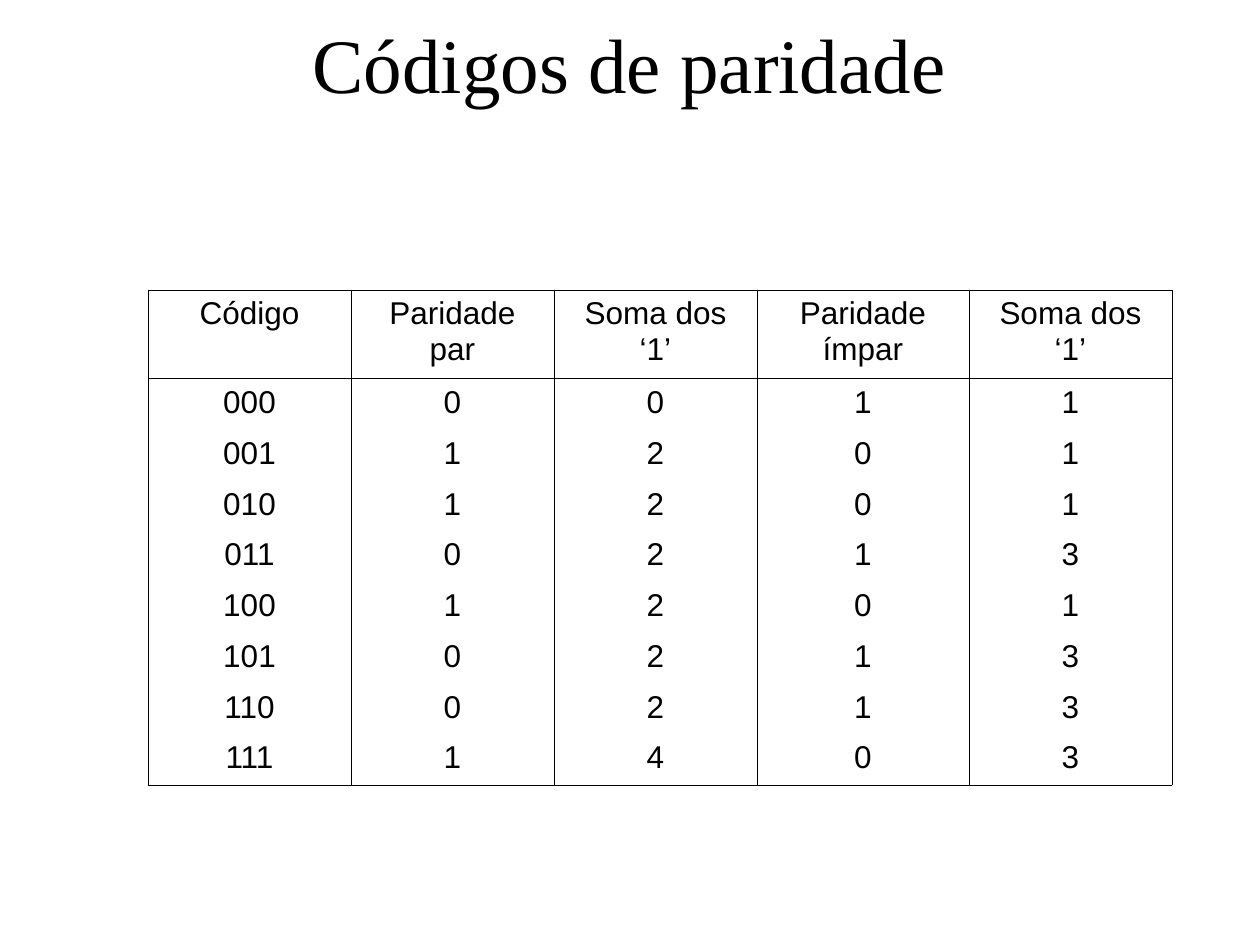
from itertools import product
from dataclasses import dataclass
from lxml.etree import SubElement as Sub
from pptx import Presentation
from pptx.dml.color import RGBColor as Color
from pptx.enum.text import MSO_ANCHOR as Anchor, PP_ALIGN as Align
from pptx.oxml.ns import qn
from pptx.util import Pt


@dataclass
class Theme:
    ink: str = "000000"
    head: str = "Times New Roman"
    body: str = "Arial"
    big: int = 44
    small: int = 18
    rule: float = 0.45


look = Theme()
PX = 914400 // 126


def write(frame, text, font=look.body, size=look.small):
    frame.word_wrap = True
    para = frame.paragraphs[0]
    para.alignment = Align.CENTER
    run = para.add_run()
    run.text = text
    run.font.name = font
    run.font.size = Pt(size)
    run.font.color.rgb = Color.from_string(look.ink)


def border(cell, sides):
    props = cell._tc.get_or_add_tcPr()
    for side in "LRTB":
        line = Sub(props, qn(f"a:ln{side}"), w=str(Pt(look.rule)))
        if side in sides:
            fill = Sub(line, qn("a:solidFill"))
            Sub(fill, qn("a:srgbClr"), val=look.ink)
        else:
            Sub(line, qn("a:noFill"))


deck = Presentation()
deck.slide_width = 1260 * PX
deck.slide_height = 945 * PX
slide = deck.slides.add_slide(deck.slide_layouts[6])

title = slide.shapes.add_textbox(94 * PX, 21 * PX, 1071 * PX, 84 * PX)
title.text_frame.vertical_anchor = Anchor.MIDDLE
write(title.text_frame, "Códigos de paridade", font=look.head, size=look.big)

rows = [["Código", "Paridade par", "Soma dos ‘1’", "Paridade ímpar", "Soma dos ‘1’"]]
for bits in product("01", repeat=3):
    ones = bits.count("1")
    even = ones % 2
    odd = 1 - even
    rows.append(["".join(bits), even, ones + even, odd, ones + odd])

wide = [203, 203, 203, 212, 203]
tall = [88] + [51, 51, 50, 51] * 2
frame = slide.shapes.add_table(
    len(rows), len(wide), 148 * PX, 290 * PX, sum(wide) * PX, sum(tall) * PX
)
table = frame.table
table.first_row = False
table.horz_banding = False
for col, width in zip(table.columns, wide):
    col.width = width * PX
for row, height in zip(table.rows, tall):
    row.height = height * PX

last = len(rows) - 1
for i, row in enumerate(rows):
    sides = "LR" + "T" * (i < 2) + "B" * (i in (0, last))
    for j, value in enumerate(row):
        cell = table.cell(i, j)
        write(cell.text_frame, str(value))
        border(cell, sides)
        cell.fill.background()

deck.save("out.pptx")
